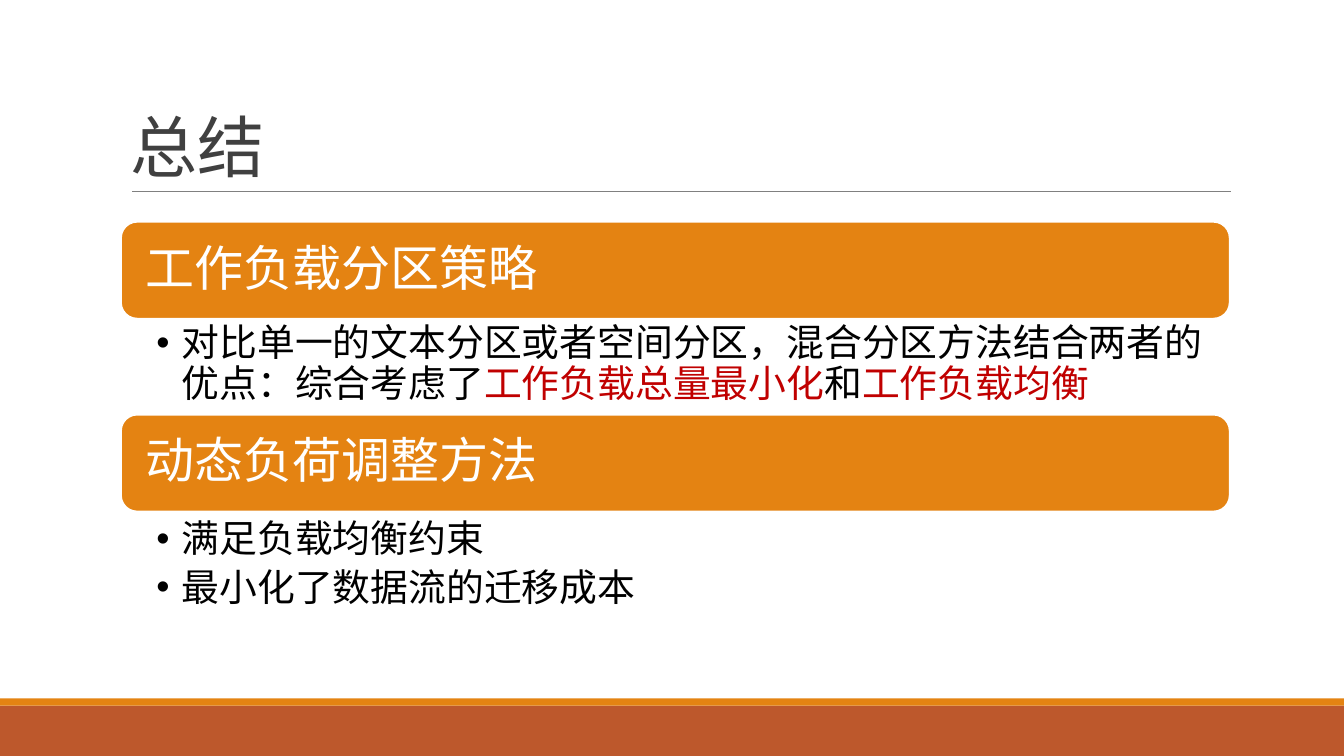
from lxml.etree import SubElement
from pptx import Presentation
from pptx.dml.color import RGBColor
from pptx.enum.shapes import MSO_CONNECTOR, MSO_SHAPE
from pptx.enum.text import MSO_ANCHOR, PP_ALIGN
from pptx.oxml.ns import qn
from pptx.util import Cm, Pt

FONT = "Calibri"
ORANGE, RUST, RED = "E48312", "BD582C", "C00000"
WHITE, BLACK = "FFFFFF", "000000"
SLIDE_WIDTH, SLIDE_HEIGHT = 33.87, 19.05
LEFT, WIDTH = 3.05, 27.94

# Each section: top, body top, heading, bullets made of (text, colour) parts
SECTIONS = [
    (5.59, 8.03, "工作负载分区策略", [
        [("对比单一的文本分区或者空间分区，混合分区方法结合两者的优点：综合考虑了", BLACK),
         ("工作负载总量最小化", RED), ("和", BLACK), ("工作负载均衡", RED)],
    ]),
    (10.45, 12.98, "动态负荷调整方法", [
        [("满足负载均衡约束", BLACK)],
        [("最小化了数据流的迁移成本", BLACK)],
    ]),
]


def color(hex_string):
    return RGBColor.from_string(hex_string)


def add_block(slide, kind, left, top, width, height, fill):
    block = slide.shapes.add_shape(kind, Cm(left), Cm(top), Cm(width), Cm(height))
    block.shadow.inherit = False
    block.fill.solid()
    block.fill.fore_color.rgb = color(fill)
    block.line.fill.background()
    return block


def set_frame(frame, anchor, left, top, right, bottom):
    frame.word_wrap = True
    frame.vertical_anchor = anchor
    frame.margin_left, frame.margin_top = Cm(left), Cm(top)
    frame.margin_right, frame.margin_bottom = Cm(right), Cm(bottom)


def style_paragraph(paragraph, size, line_spacing, space_after=0):
    paragraph.alignment = PP_ALIGN.LEFT
    paragraph.line_spacing = line_spacing
    paragraph.space_after = Pt(space_after)
    paragraph.font.size = Pt(size)
    paragraph.font.name = FONT


def add_footer(slide, top, height, stripe_height):
    add_block(slide, MSO_SHAPE.RECTANGLE, 0, top + stripe_height,
              SLIDE_WIDTH, height - stripe_height, RUST)
    add_block(slide, MSO_SHAPE.RECTANGLE, 0, top, SLIDE_WIDTH, stripe_height, ORANGE)


def add_title(slide, left, top, width, height):
    title = slide.shapes.add_textbox(Cm(left), Cm(top), Cm(width), Cm(height))
    set_frame(title.text_frame, MSO_ANCHOR.BOTTOM, 0.25, 0.13, 0.25, 0.13)
    paragraph = title.text_frame.paragraphs[0]
    run = paragraph.add_run()
    run.text = "总结"
    run.font._element.set("spc", "-50")
    style_paragraph(paragraph, 48, 0.85)
    paragraph.font.color.rgb = color("404040")

    # Rule under the title
    rule_y = Cm(top + height)
    rule = slide.shapes.add_connector(
        MSO_CONNECTOR.STRAIGHT, Cm(left + 0.28), rule_y, Cm(left + width + 0.02), rule_y)
    rule.line.color.rgb = color("808080")
    rule.line.width = Pt(0.5)
    SubElement(rule._element.spPr, qn("a:effectLst"))


def add_bullet(paragraph, parts):
    properties = paragraph._p.get_or_add_pPr()
    properties.set("marL", str(Cm(0.64)))
    properties.set("indent", str(-Cm(0.64)))
    SubElement(properties, qn("a:buFont"), typeface="Arial")
    SubElement(properties, qn("a:buChar"), char="•")
    style_paragraph(paragraph, 27, 0.9, 5.4)
    for text, text_color in parts:
        run = paragraph.add_run()
        run.text = text
        run.font.color.rgb = color(text_color)


def add_section(slide, left, top, width, body_top, heading, bullets):
    # Heading bar
    bar = add_block(slide, MSO_SHAPE.ROUNDED_RECTANGLE, left, top, width, 2.44, ORANGE)
    bar.line.color.rgb = color(WHITE)
    bar.line.width = Pt(1.25)
    set_frame(bar.text_frame, MSO_ANCHOR.MIDDLE, 0.5, 0.38, 0.5, 0.38)
    paragraph = bar.text_frame.paragraphs[0]
    paragraph.text = heading
    style_paragraph(paragraph, 35, 0.9, 12.25)
    paragraph.font.color.rgb = color(WHITE)

    # Bullets
    body = slide.shapes.add_textbox(Cm(left), Cm(body_top), Cm(width), Cm(2.6))
    frame = body.text_frame
    set_frame(frame, MSO_ANCHOR.TOP, 0.89, 0.13, 0.69, 0.13)
    for index, parts in enumerate(bullets):
        add_bullet(frame.add_paragraph() if index else frame.paragraphs[0], parts)


def main():
    presentation = Presentation()
    presentation.slide_width, presentation.slide_height = Cm(SLIDE_WIDTH), Cm(SLIDE_HEIGHT)
    slide = presentation.slides.add_slide(presentation.slide_layouts[6])
    add_footer(slide, 17.6, SLIDE_HEIGHT - 17.6, 0.18)
    add_title(slide, LEFT, 0.79, WIDTH, 4.04)
    for top, body_top, heading, bullets in SECTIONS:
        add_section(slide, LEFT, top, WIDTH, body_top, heading, bullets)
    presentation.save("out.pptx")


if __name__ == "__main__":
    main()
